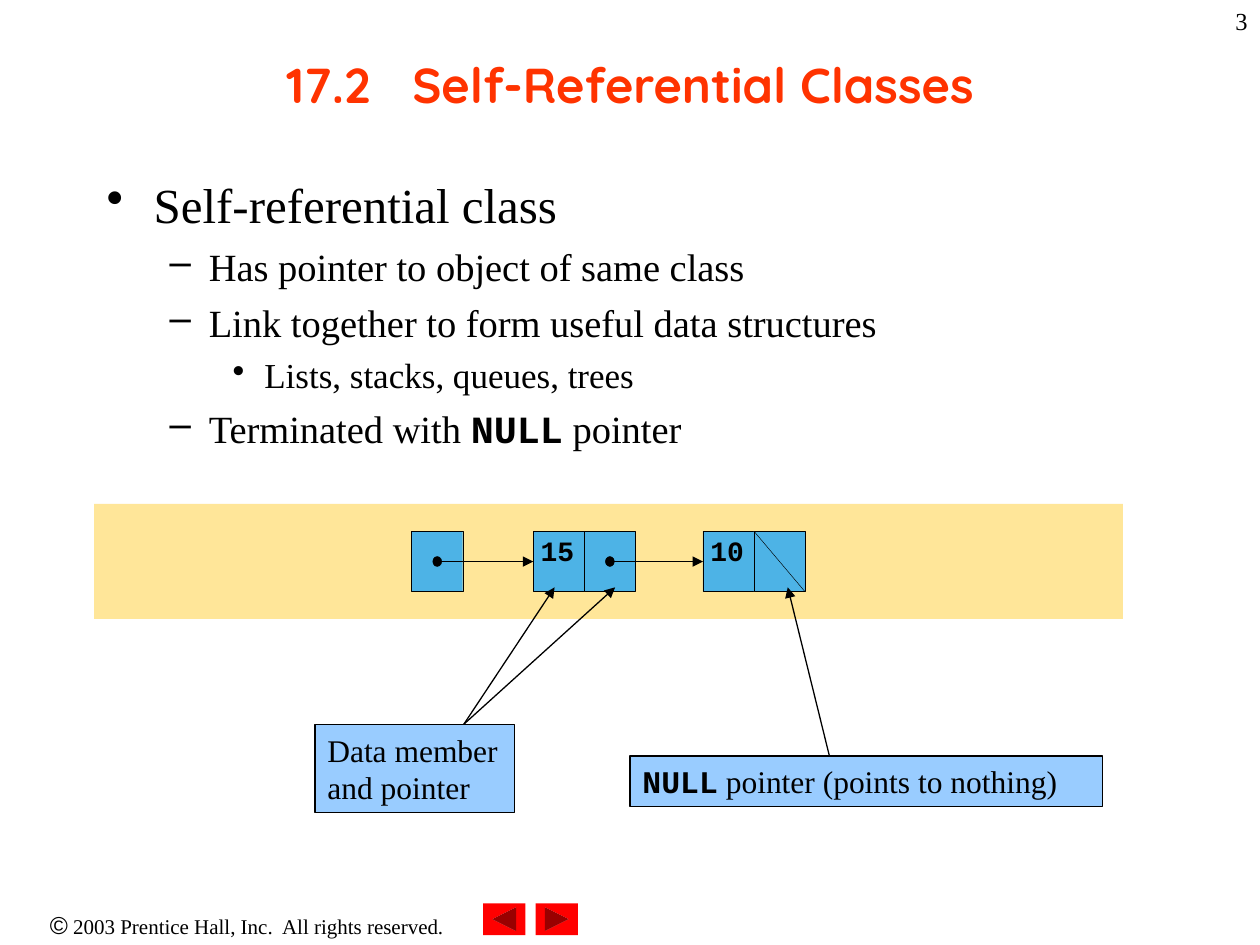
import pptx
import pptx.dml.color
import pptx.enum.shapes
import pptx.enum.text
import pptx.oxml.ns
import pptx.util
from lxml import etree

Cm = pptx.util.Cm
Pt = pptx.util.Pt
Shape = pptx.enum.shapes.MSO_SHAPE
Align = pptx.enum.text.PP_ALIGN
Anchor = pptx.enum.text.MSO_ANCHOR
qn = pptx.oxml.ns.qn

COLORS = {"text": "000000", "title": "FF3300", "band": "FFE699",
          "cell": "4DB3E6", "callout": "99CCFF", "button": "FF0000"}
SERIF, MONO = "Times New Roman", "Courier New"
CELL_WIDTH, CELL_HEIGHT = 1.03, 1.22
# level: (bullet, left margin, hanging indent, size, space before)
LEVELS = {0: ("•", 0.95, 0.95, 28, 7),
          1: ("–", 2.06, 0.79, 22, 5.5),
          2: ("•", 3.18, 0.64, 20, 5)}


def rgb(name):
    return pptx.dml.color.RGBColor.from_string(COLORS[name])


def write(paragraph, text, *, size, font=SERIF, bold=False, color="text"):
    run = paragraph.add_run()
    run.text = text
    run.font.size, run.font.name, run.font.bold = Pt(size), font, bold
    run.font.color.rgb = rgb(color)


def set_frame(frame, anchor=Anchor.TOP, insets=(0.25, 0.13, 0.25, 0.13)):
    frame.word_wrap = True
    frame.vertical_anchor = anchor
    (frame.margin_left, frame.margin_top,
     frame.margin_right, frame.margin_bottom) = map(Cm, insets)


def add_text_box(slide, box, align=Align.LEFT, anchor=Anchor.TOP):
    frame = slide.shapes.add_textbox(*map(Cm, box)).text_frame
    set_frame(frame, anchor)
    frame.paragraphs[0].alignment = align
    return frame


def add_shape(slide, kind, box, fill, line_width=None):
    shape = slide.shapes.add_shape(kind, *map(Cm, box))
    shape.shadow.inherit = False
    shape.fill.solid()
    shape.fill.fore_color.rgb = rgb(fill)
    if line_width is None:
        shape.line.fill.background()
    else:
        shape.line.color.rgb = rgb("text")
        shape.line.width = Pt(line_width)
    return shape


def add_line(slide, start, end, width, arrow=True):
    straight = pptx.enum.shapes.MSO_CONNECTOR.STRAIGHT
    line = slide.shapes.add_connector(straight, *map(Cm, (*start, *end)))
    line.line.color.rgb = rgb("text")
    line.line.width = Pt(width)
    if arrow:
        etree.SubElement(line.line._get_or_add_ln(), qn("a:tailEnd"), type="triangle")
    etree.SubElement(line._element.spPr, qn("a:effectLst"))
    return line


def add_title(slide, box):
    paragraph = add_text_box(slide, box, Align.CENTER, Anchor.MIDDLE).paragraphs[0]
    tabs = etree.SubElement(paragraph._p.get_or_add_pPr(), qn("a:tabLst"))
    etree.SubElement(tabs, qn("a:tab"), pos=str(Cm(2.54)), algn="l")
    write(paragraph, "17.2\tSelf-Referential Classes", size=28,
          font="Quicksand", bold=True, color="title")


def add_bullets(slide, box):
    items = [(0, [("Self-referential class", {})]),
             (1, [("Has pointer to object of same class", {})]),
             (1, [("Link together to form useful data structures", {})]),
             (2, [("Lists, stacks, queues, trees", {})]),
             (1, [("Terminated with ", {}), ("NULL", {"font": MONO, "bold": True}),
                  (" pointer", {})])]
    frame = add_text_box(slide, box)
    for index, (level, runs) in enumerate(items):
        paragraph = frame.add_paragraph() if index else frame.paragraphs[0]
        bullet, margin, hanging, size, space = LEVELS[level]
        paragraph.level = level
        properties = paragraph._p.get_or_add_pPr()
        properties.set("marL", str(Cm(margin)))
        properties.set("indent", str(-Cm(hanging)))
        etree.SubElement(properties, qn("a:buChar"), char=bullet)
        if index:
            paragraph.space_before = Pt(space)
        for text, formatting in runs:
            write(paragraph, text, size=size, **formatting)


def add_cell(slide, left, top, value=None):
    cell = add_shape(slide, Shape.RECTANGLE,
                     (left, top, CELL_WIDTH, CELL_HEIGHT), "cell", 0.25)
    if value:
        set_frame(cell.text_frame, insets=(0.15, 0.22, 0, 0))
        paragraph = cell.text_frame.paragraphs[0]
        paragraph.alignment = Align.LEFT
        paragraph.line_spacing = 0.72
        write(paragraph, value, size=16, font=MONO, bold=True)
    return cell


def add_pointer(slide, left, top, target):
    """Dot in the middle of a cell, with an arrow to the target cell."""
    x, y = left + CELL_WIDTH / 2, top + CELL_HEIGHT / 2
    add_shape(slide, Shape.OVAL, (x - 0.09, y - 0.1, 0.18, 0.2), "text", 0.25)
    add_line(slide, (x, y), (x + 1, y), 0.25).end_connect(target, 1)


def add_linked_list(slide, box):
    left, top, _, _ = box
    add_shape(slide, Shape.RECTANGLE, box, "band")
    row = top + 0.55
    start, first, second = left + 6.4, left + 8.85, left + 12.27

    # Cells: start pointer, then two nodes of data and pointer
    add_cell(slide, start, row)
    nodes = []
    for node_left, value in ((first, "15"), (second, "10")):
        nodes.append(add_cell(slide, node_left, row, value))
        add_cell(slide, node_left + CELL_WIDTH, row)

    # Links, and the slash of the null pointer
    add_pointer(slide, start, row, nodes[0])
    add_pointer(slide, first + CELL_WIDTH, row, nodes[1])
    slash = second + CELL_WIDTH
    add_line(slide, (slash, row), (slash + CELL_WIDTH, row + CELL_HEIGHT),
             0.25, arrow=False)


def add_callout(slide, box, runs, tail, targets):
    left, top, _, _ = box
    callout = add_shape(slide, Shape.RECTANGLE, box, "callout", 0.75)
    set_frame(callout.text_frame)
    paragraph = callout.text_frame.paragraphs[0]
    paragraph.alignment = Align.LEFT
    for text, formatting in runs:
        write(paragraph, text, size=18, **formatting)
    for target in targets:
        add_line(slide, (left + tail, top), target, 0.75)


def add_footer(slide, box):
    left, top, _, height = box
    paragraph = add_text_box(slide, box, Align.CENTER).paragraphs[0]
    write(paragraph, "©", size=14, font="Arial")
    write(paragraph, " 2003 Prentice Hall, Inc.  All rights reserved.", size=12)
    buttons = (Shape.ACTION_BUTTON_BACK_OR_PREVIOUS,
               Shape.ACTION_BUTTON_FORWARD_OR_NEXT)
    for index, kind in enumerate(buttons):
        add_shape(slide, kind, (left + 9.74 + 1.06 * index, top, 0.85, 0.64), "button")


def main():
    presentation = pptx.Presentation()
    presentation.slide_width, presentation.slide_height = Cm(25.4), Cm(19.05)
    slide = presentation.slides.add_slide(presentation.slide_layouts[6])

    add_footer(slide, (0, 18.21, 9.96, 0.86))
    add_title(slide, (1.9, 0.21, 21.6, 2.96))
    add_bullets(slide, (1.9, 3.39, 21.6, 14.6))
    add_linked_list(slide, (1.9, 10.16, 20.74, 2.32))
    add_callout(slide, (12.7, 15.24, 9.53, 1.02),
                [("NULL", {"font": MONO, "bold": True}),
                 (" pointer (points to nothing)", {})],
                4.02, [(15.88, 11.84)])
    add_callout(slide, (6.35, 14.6, 4.02, 1.78), [("Data member and pointer", {})],
                3.0, [(11.18, 11.84), (12.4, 11.84)])

    # Slide number
    number = add_text_box(slide, (20.11, 0, 5.29, 1.27), Align.RIGHT)
    write(number.paragraphs[0], "3", size=14)

    presentation.save("out.pptx")


if __name__ == "__main__":
    main()
